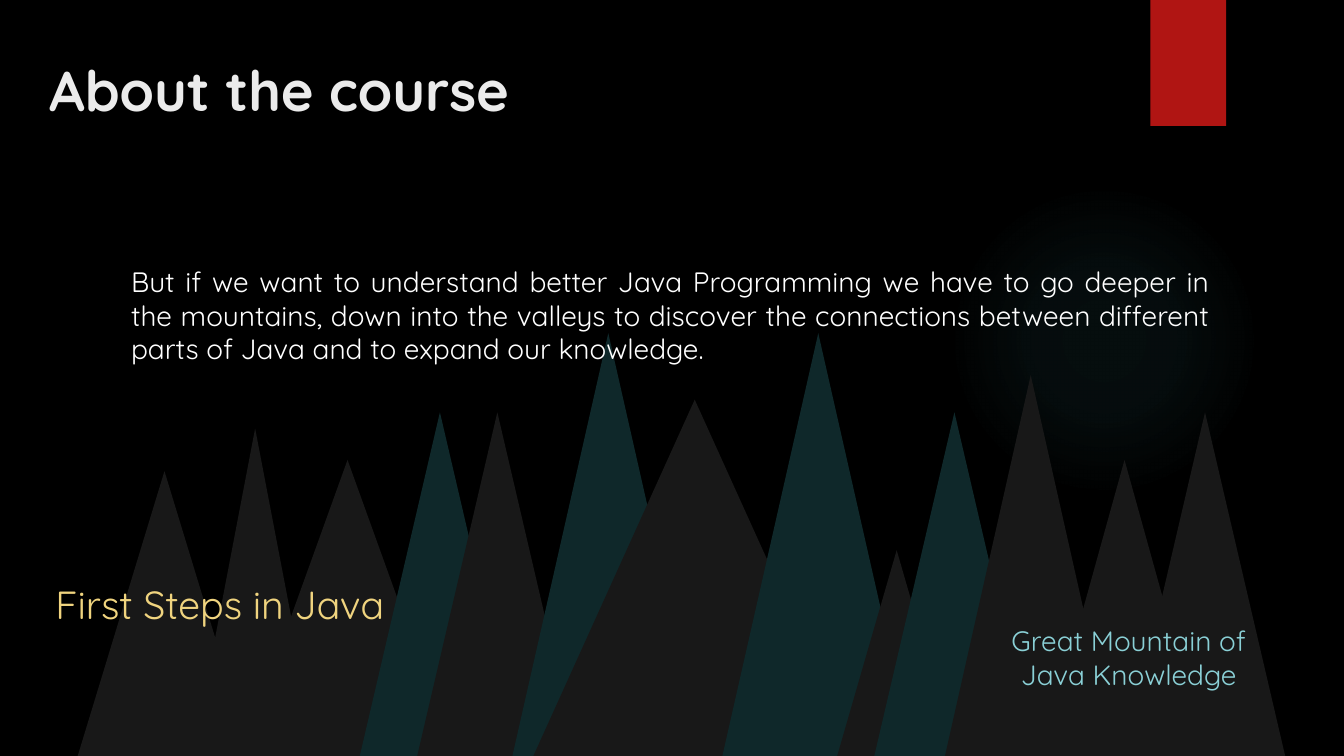
import pptx
import pptx.util
import pptx.dml.color
import pptx.enum.shapes
import pptx.enum.text
import pptx.oxml
from pptx.oxml.ns import nsdecls

Pt = pptx.util.Pt
RGB = pptx.dml.color.RGBColor
KIND = pptx.enum.shapes.MSO_SHAPE
ALIGN = pptx.enum.text.PP_ALIGN

BLACK = RGB(0, 0, 0)
RED = RGB(0xB0, 0x15, 0x13)
GRAY = RGB(0x18, 0x18, 0x18)
TEAL = RGB(0x0F, 0x28, 0x2A)
GLOW = RGB(0x50, 0xB9, 0xC1)
PALE = RGB(0xEB, 0xEB, 0xEB)
WHITE = RGB(0xFF, 0xFF, 0xFF)
GOLD = RGB(0xF0, 0xD4, 0x7F)
AQUA = RGB(0x8A, 0xD0, 0xD6)

WIDE, HIGH = 960, 540
FONT = "Quicksand"
STOPS = [(0, 7), (36, 6), (69, 0)]

PEAKS = [
    (137.5, 89.5, 234, GRAY),
    (172, 152.5, 211.5, GRAY),
    (257, 114.5, 245.5, TEAL),
    (298, 114.5, 245.5, GRAY),
    (803.5, 114.5, 245.5, GRAY),
    (55.5, 124, 203.5, GRAY),
    (366, 137, 302, TEAL),
    (381, 230.5, 254.5, GRAY),
    (516, 137, 302, TEAL),
    (598, 85, 147, GRAY),
    (624.5, 114.5, 245.5, TEAL),
    (675, 122.5, 272, GRAY),
    (744.5, 117.5, 211.5, GRAY),
]

TEXTS = [
    ("About the course", (28, 36, 796, 63), ALIGN.LEFT,
     {"size": Pt(40), "bold": True}, PALE),
    ("But if we want to understand better Java Programming we have to go "
     "deeper in the mountains, down into the valleys to discover the "
     "connections between different parts of Java and to expand our "
     "knowledge.", (86.5, 185.5, 784.5, 80), ALIGN.JUSTIFY,
     {"size": Pt(20)}, WHITE),
    ("First Steps in Java", (32.5, 411, 251.5, 41), ALIGN.LEFT,
     {"size": Pt(28)}, GOLD),
    ("Great Mountain of Java Knowledge", (705.5, 442, 201.5, 55.5),
     ALIGN.CENTER, {"size": Pt(20)}, AQUA),
]


def draw(slide, kind, box, color):
    shape = slide.shapes.add_shape(kind, *map(Pt, box))
    shape.shadow.inherit = False
    shape.fill.solid()
    shape.fill.fore_color.rgb = color
    shape.line.fill.background()
    return shape


def shine(shape):
    stops = "".join(
        f'<a:gs pos="{pos * 1000}"><a:srgbClr val="{GLOW}">'
        f'<a:alpha val="{alpha * 1000}"/></a:srgbClr></a:gs>'
        for pos, alpha in STOPS)
    grad = pptx.oxml.parse_xml(
        f'<a:gradFill {nsdecls("a")}><a:gsLst>{stops}</a:gsLst>'
        '<a:path path="circle"><a:fillToRect l="50000" t="50000" '
        'r="50000" b="50000"/></a:path></a:gradFill>')
    props = shape.element.spPr
    props.replace(props.find(pptx.oxml.ns.qn("a:solidFill")), grad)


def write(slide, text, box, align, style, color):
    frame = slide.shapes.add_textbox(*map(Pt, box)).text_frame
    frame.word_wrap = True
    para = frame.paragraphs[0]
    para.alignment = align
    run = para.add_run()
    run.text = text
    for key, value in {"name": FONT, **style}.items():
        setattr(run.font, key, value)
    run.font.color.rgb = color


def main():
    deck = pptx.Presentation()
    deck.slide_width, deck.slide_height = Pt(WIDE), Pt(HIGH)
    slide = deck.slides.add_slide(deck.slide_layouts[6])
    slide.background.fill.solid()
    slide.background.fill.fore_color.rgb = BLACK
    shine(draw(slide, KIND.OVAL, (677.5, 132, 222, 222), GLOW))
    draw(slide, KIND.RECTANGLE, (821.75, 0, 54, 90), RED)
    for left, width, height, color in PEAKS:
        box = (left, HIGH - height, width, height)
        draw(slide, KIND.ISOSCELES_TRIANGLE, box, color)
    for item in TEXTS:
        write(slide, *item)
    deck.save("out.pptx")


if __name__ == "__main__":
    main()
